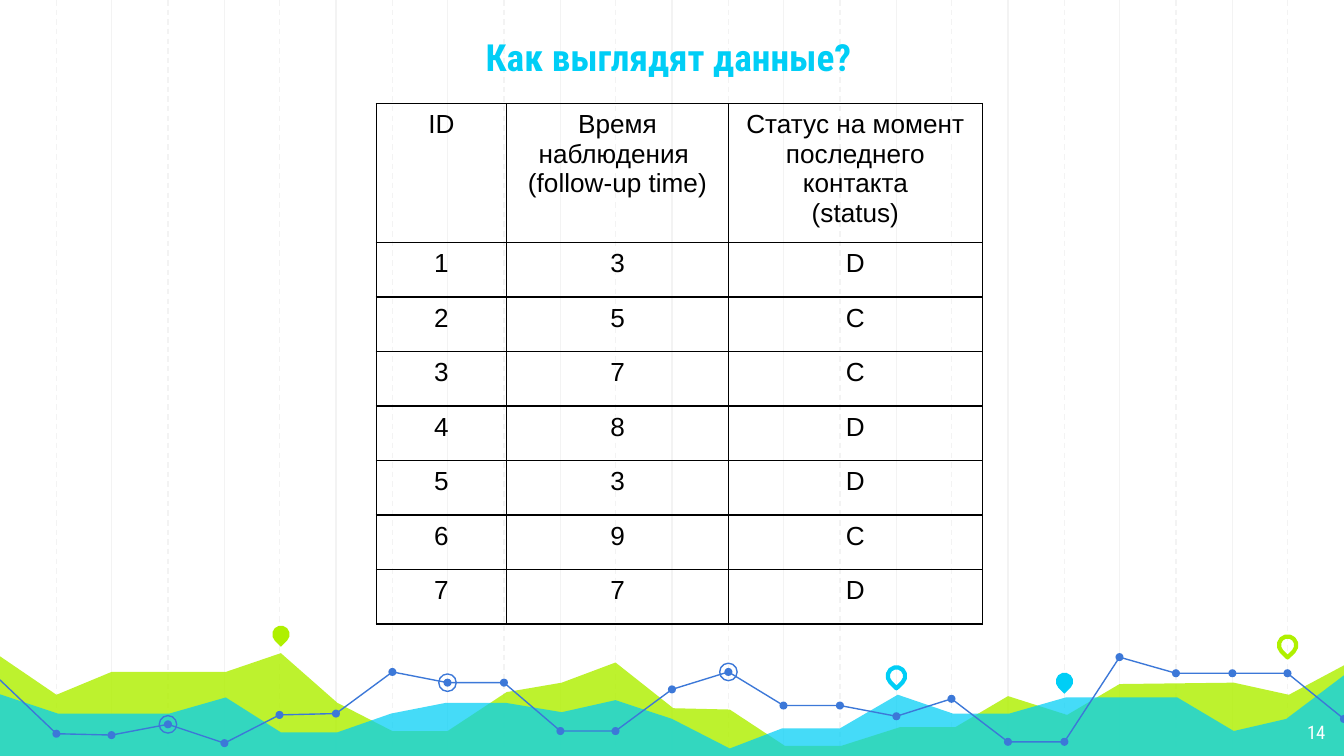
"""Builds the slide that shows sample survival data in a table above a chart-like landscape."""
from lxml.etree import SubElement
from pptx import Presentation
from pptx.dml.color import RGBColor
from pptx.enum.dml import MSO_LINE
from pptx.enum.shapes import MSO_CONNECTOR, MSO_SHAPE
from pptx.enum.text import MSO_ANCHOR, PP_ALIGN
from pptx.oxml import parse_xml
from pptx.oxml.ns import nsdecls, qn
from pptx.util import Pt

PX = 9144
WIDTH = 1000
COLORS = {
    "grid": "F3F3F3", "lime": "AFF000", "cyan": "00CEF6", "blue": "3C78D8",
    "white": "FFFFFF", "black": "000000",
}
HEADING_FONT, TABLE_FONT = "Roboto Condensed", "Arial"

TITLE = "Как выглядят данные?"
PAGE_NUMBER = "14"
ROWS = [
    ("ID", "Время наблюдения \n(follow-up time)", "Статус на момент последнего контакта\n(status)"),
    ("1", "3", "D"),
    ("2", "5", "C"),
    ("3", "7", "C"),
    ("4", "8", "D"),
    ("5", "3", "D"),
    ("6", "9", "C"),
    ("7", "7", "D"),
]
COLUMN_WIDTHS = (97, 165, 189)
ROW_HEIGHT = Pt(29.2)
TABLE_LEFT, TABLE_TOP, TABLE_SIZE = 280, 77, 328

GRID_COUNT = 24
GRID_BOTTOM = 565
HILLS = [
    ("lime", 82, [
        (-2, 487), (42, 517), (83, 500), (168, 500), (209, 486), (251, 523), (292, 544),
        (333, 544), (377, 515), (418, 508), (458, 493), (501, 527), (543, 528), (584, 555),
        (626, 555), (670, 541), (711, 541), (750, 518), (794, 532), (833, 509), (918, 508),
        (959, 517), (1002, 494), (1001, 564), (-3, 564),
    ]),
    ("cyan", 73, [
        (-2, 516), (43, 531), (126, 531), (168, 519), (209, 545), (251, 545), (291, 531),
        (332, 523), (376, 523), (418, 530), (458, 521), (500, 535), (543, 557), (582, 542),
        (625, 542), (668, 517), (709, 531), (751, 531), (793, 519), (876, 519), (918, 544),
        (957, 535), (1002, 501), (1002, 565), (-3, 565),
    ]),
]
TREND_HEIGHTS = [
    506, 546, 547, 539, 553, 532, 531, 500, 508, 508, 544, 544, 513,
    500, 525, 525, 533, 520, 552, 552, 489, 501, 501, 501, 535,
]
TREND_BREAKS = (0, 11, 20, 24)
RINGED_POINTS = (8, 3, 13)
DOT_SIZE, RING_SIZE, PIN_SIZE = 6, 13, 13
PINS = [
    (209, 472, "lime", True), (667, 503, "cyan", False),
    (792, 507, "cyan", True), (958, 480, "lime", False),
]


def rgb(name):
    return RGBColor.from_string(COLORS[name])


def grid_x(index):
    return round(index * WIDTH / GRID_COUNT)


def paint(shape, fill=None, line=None, weight=0.75):
    shape.shadow.inherit = False
    if fill:
        shape.fill.solid()
        shape.fill.fore_color.rgb = rgb(fill)
    else:
        shape.fill.background()
    if line:
        shape.line.color.rgb = rgb(line)
        shape.line.width = Pt(weight)
    else:
        shape.line.fill.background()


def add_grid_line(page, index):
    x = grid_x(index) * PX
    line = page.shapes.add_connector(MSO_CONNECTOR.STRAIGHT, x, 0, x, GRID_BOTTOM * PX)
    line.line.color.rgb = rgb("grid")
    line.line.width = Pt(0.75)
    if index % 2:
        line.line.dash_style = MSO_LINE.DASH
    SubElement(line._element.spPr, qn("a:effectLst"))


def add_outline(page, points, close):
    builder = page.shapes.build_freeform(*points[0], scale=PX)
    builder.add_line_segments(points[1:], close=close)
    return builder.convert_to_shape()


def add_centred(page, kind, x, y, size):
    left, top = round((x - size / 2) * PX), round((y - size / 2) * PX)
    return page.shapes.add_shape(kind, left, top, size * PX, size * PX)


def add_landscape(page):
    for color, opacity, points in HILLS:
        hill = add_outline(page, points, True)
        paint(hill, fill=color)
        tint = hill._element.spPr.find(qn("a:solidFill"))[0]
        SubElement(tint, qn("a:alpha"), val=str(opacity * 1000))


def add_trend(page):
    points = [(grid_x(index), y) for index, y in enumerate(TREND_HEIGHTS)]
    for first, last in zip(TREND_BREAKS, TREND_BREAKS[1:]):
        paint(add_outline(page, points[first:last + 1], False), line="blue")
    for x, y in points[1:]:
        paint(add_centred(page, MSO_SHAPE.OVAL, x, y, DOT_SIZE), fill="blue")
    for index in RINGED_POINTS:
        paint(add_centred(page, MSO_SHAPE.OVAL, *points[index], RING_SIZE), line="blue")


def add_pins(page):
    for x, y, color, filled in PINS:
        pin = add_centred(page, MSO_SHAPE.TEAR, x, y, PIN_SIZE)
        pin.rotation = 135
        if filled:
            paint(pin, fill=color)
        else:
            paint(pin, line=color, weight=2.25)


def write(frame, text, font, size, color, align, bold=False):
    frame.text = text
    for para in frame.paragraphs:
        para.alignment = align
        for span in para.runs:
            span.font.name = font
            span.font.size = Pt(size)
            span.font.bold = bold
            span.font.color.rgb = rgb(color)
        SubElement(para._p, qn("a:endParaRPr"), sz=str(size * 100))


def add_text(page, area, anchor, *style):
    box = page.shapes.add_textbox(*(length * PX for length in area))
    frame = box.text_frame
    frame.word_wrap = True
    frame.vertical_anchor = anchor
    frame.margin_left = frame.margin_right = frame.margin_top = frame.margin_bottom = 10 * PX
    write(frame, *style)


def add_borders(cell):
    properties = cell._tc.get_or_add_tcPr()
    for position, side in enumerate("LRTB"):
        properties.insert(position, parse_xml(
            f'<a:ln{side} {nsdecls("a")} w="{Pt(0.75)}"><a:solidFill>'
            f'<a:srgbClr val="{COLORS["black"]}"/></a:solidFill></a:ln{side}>'))


def add_data_table(page):
    holder = page.shapes.add_table(
        len(ROWS), len(COLUMN_WIDTHS), TABLE_LEFT * PX, TABLE_TOP * PX,
        TABLE_SIZE * PX, TABLE_SIZE * PX)
    table = holder.table
    table.first_row = table.horz_banding = False
    for column, width in zip(table.columns, COLUMN_WIDTHS):
        column.width = width * PX
    for row, texts in zip(table.rows, ROWS):
        row.height = ROW_HEIGHT
        for cell, text in zip(row.cells, texts):
            cell.fill.background()
            add_borders(cell)
            write(cell.text_frame, text, TABLE_FONT, 14, "black", PP_ALIGN.CENTER)
    holder.width = holder.height = TABLE_SIZE * PX


def main():
    deck = Presentation()
    deck.slide_width, deck.slide_height = WIDTH * PX, WIDTH * PX * 9 // 16
    page = deck.slides.add_slide(deck.slide_layouts[6])
    for start in (2, 1):
        for index in range(start, GRID_COUNT, 2):
            add_grid_line(page, index)
    add_landscape(page)
    add_trend(page)
    add_pins(page)
    add_text(page, (115, 6, 765, 63), MSO_ANCHOR.BOTTOM,
             TITLE, HEADING_FONT, 20, "cyan", PP_ALIGN.CENTER, True)
    add_text(page, (936, 528, 60, 35), MSO_ANCHOR.TOP,
             PAGE_NUMBER, HEADING_FONT, 10, "white", PP_ALIGN.RIGHT)
    add_data_table(page)
    deck.save("out.pptx")


if __name__ == "__main__":
    main()
